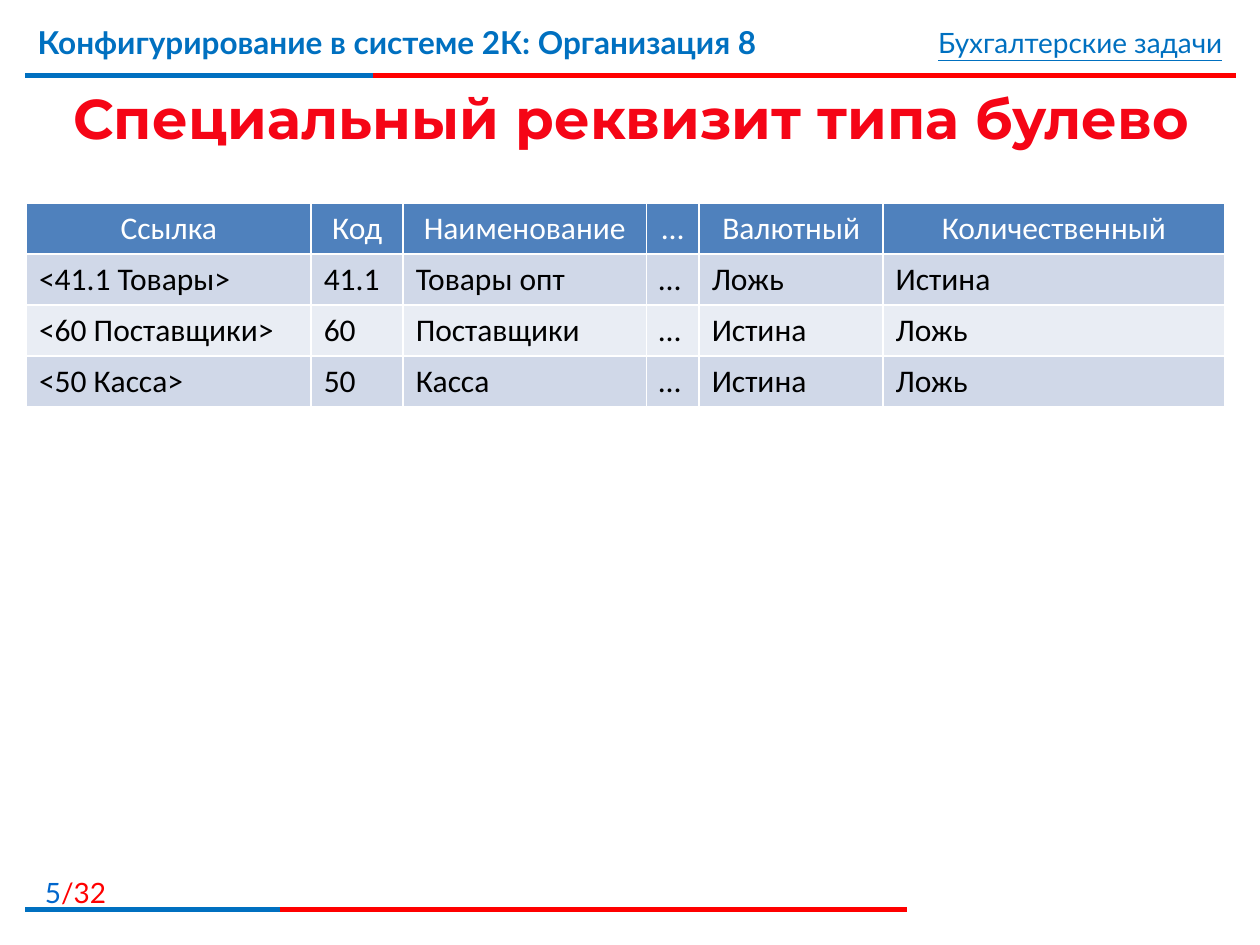
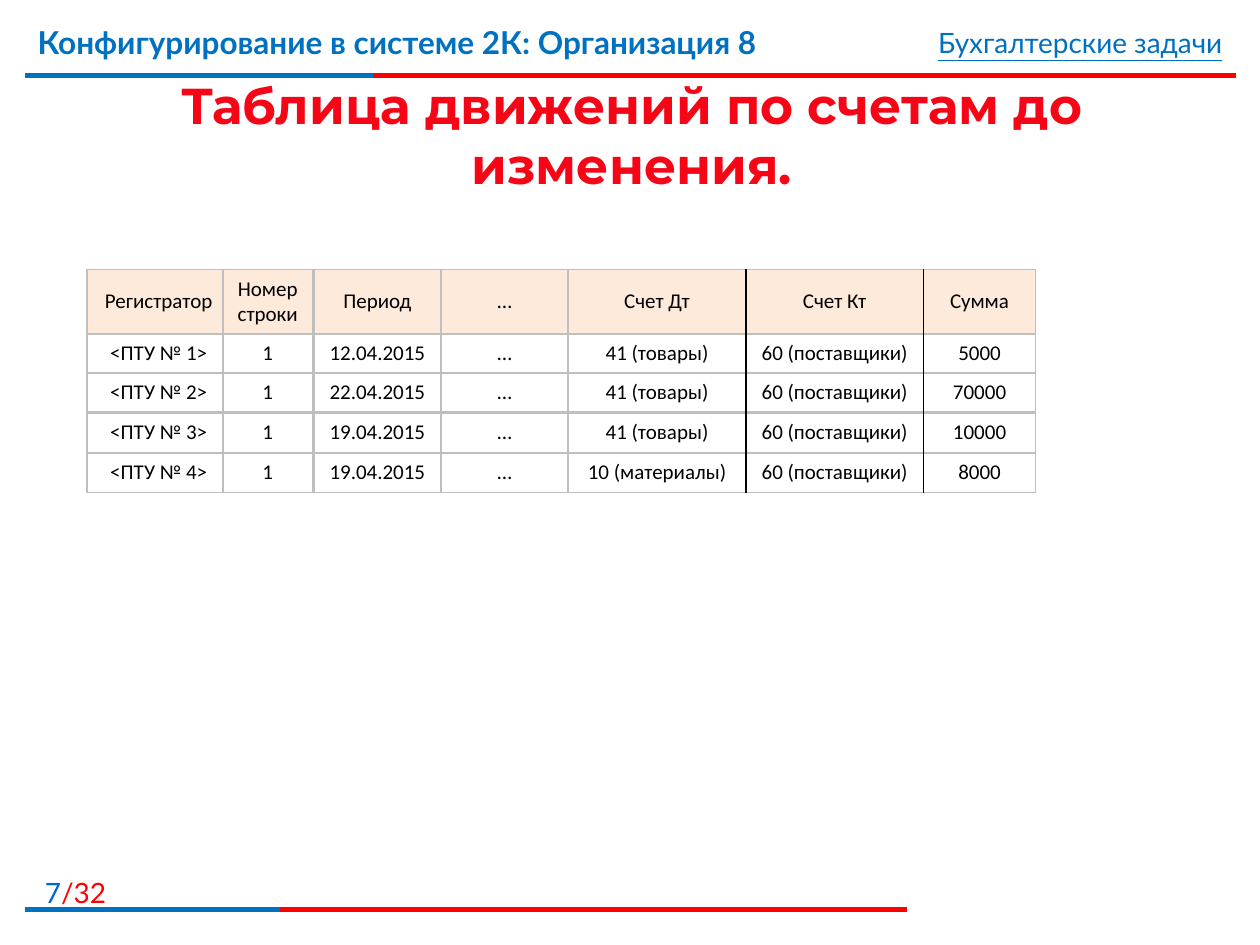
from lxml import etree
from pptx import Presentation
from pptx import util as u
from pptx.dml.color import RGBColor
from pptx.enum import shapes, text
from pptx.oxml import ns

BLUE = RGBColor(0x00, 0x70, 0xC0)
PAGE_BLUE = RGBColor(0x00, 0x66, 0xCC)
RED = RGBColor(0xFF, 0x00, 0x00)
TITLE_RED = RGBColor(0xF5, 0x05, 0x16)
WHITE = RGBColor(0xFF, 0xFF, 0xFF)
BLACK = RGBColor(0x00, 0x00, 0x00)
GRAY = RGBColor(0xBF, 0xBF, 0xBF)
HEAD_BLUE = RGBColor(0x4F, 0x81, 0xBD)
BAND_DARK = RGBColor(0xD0, 0xD8, 0xE8)
BAND_LIGHT = RGBColor(0xE9, 0xED, 0xF4)
PEACH = RGBColor(0xFD, 0xEA, 0xDA)

COURSE = "Конфигурирование в системе 2К: Организация 8"
TOPIC = "Бухгалтерские задачи"
PAGE_COUNT = 32
LEFT, CENTER, RIGHT = (text.PP_ALIGN.LEFT, text.PP_ALIGN.CENTER,
                       text.PP_ALIGN.RIGHT)
TOP, MIDDLE = text.MSO_ANCHOR.TOP, text.MSO_ANCHOR.MIDDLE

ACCOUNTS = [
    ("Ссылка", "Код", "Наименование", "…", "Валютный", "Количественный"),
    ("<41.1 Товары>", "41.1", "Товары опт", "…", "Ложь", "Истина"),
    ("<60 Поставщики>", "60", "Поставщики", "…", "Истина", "Ложь"),
    ("<50 Касса>", "50", "Касса", "…", "Истина", "Ложь"),
]
MOVEMENTS = [
    ("Регистратор", "Номер строки", "Период", "…", "Счет Дт", "Счет Кт", "Сумма"),
    ("<ПТУ № 1>", "1", "12.04.2015", "…", "41 (товары)", "60 (поставщики)", "5000"),
    ("<ПТУ № 2>", "1", "22.04.2015", "…", "41 (товары)", "60 (поставщики)", "70000"),
    ("<ПТУ № 3>", "1", "19.04.2015", "…", "41 (товары)", "60 (поставщики)", "10000"),
    ("<ПТУ № 4>", "1", "19.04.2015", "…", "10 (материалы)", "60 (поставщики)", "8000"),
]
MOVEMENT_TOPS = (2.14, 2.65, 2.96, 3.28, 3.6)
MOVEMENT_BLOCKS = (
    (0.69, (1.14,)),
    (1.77, (0.71,)),
    (2.49, (1.01,)),
    (3.5, (1.01,)),
    (4.51, (1.41, 1.41, 0.89)),
)


def add_run(p, content, font, size, color, bold=False, underline=False):
    r = p.add_run()
    r.text = content
    r.font.name = font
    r.font.size = u.Pt(size)
    r.font.color.rgb = color
    r.font.bold = bold
    r.font.underline = underline


def add_text(s, x, y, w, h, align=LEFT):
    tf = s.shapes.add_textbox(*map(u.Inches, (x, y, w, h))).text_frame
    tf.word_wrap = True
    p = tf.paragraphs[0]
    p.alignment = align
    return p


def add_rule(s, y, right, color):
    line = s.shapes.add_connector(shapes.MSO_CONNECTOR.STRAIGHT, u.Inches(0.2),
                                  u.Inches(y), u.Inches(right), u.Inches(y))
    line.line.color.rgb = color
    line.line.width = u.Pt(3)
    etree.SubElement(line._element.spPr, ns.qn("a:effectLst"))


def add_frame(s, page):
    for y, red_end, blue_end in ((0.6, 9.81, 2.96), (7.22, 7.2, 2.22)):
        add_rule(s, y, red_end, RED)
        add_rule(s, y, blue_end, BLUE)
    p = add_text(s, 0, 6.9, 0.94, 0.32, RIGHT)
    add_run(p, str(page), "Lato", 16, PAGE_BLUE)
    add_run(p, f"/{PAGE_COUNT}", "Lato", 16, RED)
    p = add_text(s, 0.2, 0.13, 7.4, 0.62)
    add_run(p, COURSE, "Lato", 18, BLUE, bold=True)
    p = add_text(s, 5.94, 0.15, 3.86, 0.37, RIGHT)
    add_run(p, TOPIC, "Lato", 16, BLUE, underline=True)


def add_slide(prs, page, title, title_height, title_size):
    s = prs.slides.add_slide(prs.slide_layouts[5])
    add_frame(s, page)
    sp = s.shapes.title
    sp.left, sp.top, sp.width, sp.height = map(
        u.Inches, (0.21, 0.63, 9.61, title_height))
    tf = sp.text_frame
    tf.auto_size = text.MSO_AUTO_SIZE.NONE
    tf.vertical_anchor = MIDDLE
    p = tf.paragraphs[0]
    p.alignment = CENTER
    add_run(p, title, "Montserrat", title_size, TITLE_RED, bold=True)
    return s


def set_borders(cell, left, right, other):
    tc_pr = cell._tc.get_or_add_tcPr()
    for side, color in zip("LRTB", (left, right, other, other)):
        ln = etree.SubElement(tc_pr, ns.qn(f"a:ln{side}"), w=str(u.Pt(1)))
        fill = etree.SubElement(ln, ns.qn("a:solidFill"))
        etree.SubElement(fill, ns.qn("a:srgbClr"), val=str(color))


def fill_cell(cell, content, size, color, fill, align, anchor):
    cell.fill.solid()
    cell.fill.fore_color.rgb = fill
    cell.vertical_anchor = anchor
    p = cell.text_frame.paragraphs[0]
    p.alignment = align
    add_run(p, content, "Calibri", size, color)


def add_grid(s, x, y, widths, row_count, height, border, inner):
    frame = s.shapes.add_table(row_count, len(widths), u.Inches(x), u.Inches(y),
                               u.Inches(sum(widths)), u.Inches(height))
    table = frame.table
    table.first_row = table.horz_banding = False
    for column, width in zip(table.columns, widths):
        column.width = u.Inches(width)
    last = len(widths) - 1
    for row in table.rows:
        for i, cell in enumerate(row.cells):
            set_borders(cell, inner if i else border,
                        inner if i < last else border, border)
    return table


def add_accounts(s):
    widths = (2.26, 0.73, 1.93, 0.42, 1.46, 2.71)
    table = add_grid(s, 0.21, 1.61, widths, len(ACCOUNTS), 1.62, WHITE, WHITE)
    for i, (row, values) in enumerate(zip(table.rows, ACCOUNTS)):
        band = BAND_DARK if i % 2 else BAND_LIGHT
        color, fill, align = (BLACK, band, LEFT) if i else (WHITE, HEAD_BLUE, CENTER)
        for cell, value in zip(row.cells, values):
            fill_cell(cell, value, 18, color, fill, align, TOP)


def add_movements(s):
    for i, (y, values) in enumerate(zip(MOVEMENT_TOPS, MOVEMENTS)):
        height, fill, anchor = (0.31, WHITE, TOP) if i else (0.51, PEACH, MIDDLE)
        remaining = iter(values)
        for x, widths in MOVEMENT_BLOCKS:
            table = add_grid(s, x, y, widths, 1, height, GRAY, BLACK)
            for cell in table.rows[0].cells:
                fill_cell(cell, next(remaining), 12, BLACK, fill, CENTER, anchor)


def main():
    prs = Presentation()
    prs.slide_width, prs.slide_height = u.Inches(10), u.Inches(7.5)
    add_accounts(add_slide(prs, 5, "Специальный реквизит типа булево", 0.6, 32))
    add_movements(add_slide(prs, 7, "Таблица движений по счетам до изменения.",
                            0.87, 28.8))
    prs.save("out.pptx")


if __name__ == "__main__":
    main()
